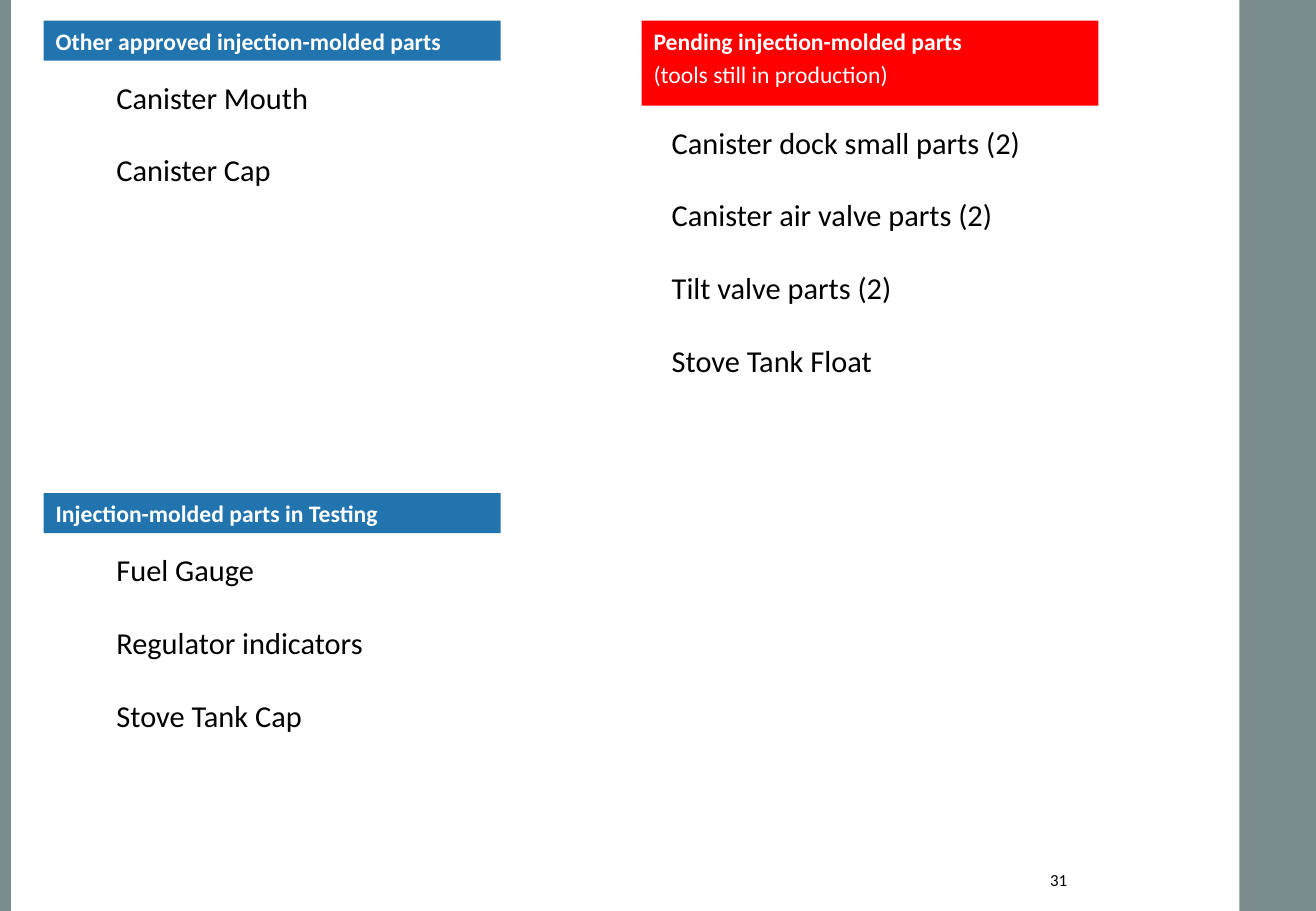
from dataclasses import dataclass

from pptx import Presentation
from pptx.dml.color import RGBColor
from pptx.enum.shapes import MSO_SHAPE as Shape
from pptx.enum.text import MSO_ANCHOR as Anchor, PP_ALIGN as Align
from pptx.util import Inches, Pt


@dataclass(frozen=True)
class Theme:
    font: str = "Calibri"
    white: str = "FFFFFF"
    text: str = "000000"
    band: str = "7A8C8E"
    approved: str = "2274AF"
    pending: str = "FF0000"
    header_size: float = 14
    item_size: float = 18
    number_size: float = 10
    header_gap: float = 2.8
    item_gap: float = 21.5


THEME = Theme()
SLIDE_WIDTH, SLIDE_HEIGHT = 10.83, 7.5
HEADER_WIDTH = 3.76
LIST_GAP = 0.1

# Header left, top, height, colour and lines; then list left, width and items
SECTIONS = [
    (0.36, 0.17, 0.33, THEME.approved, ["Other approved injection-molded parts"],
     0.86, 2.31, ["Canister Mouth", "Canister Cap"]),
    (0.36, 4.06, 0.33, THEME.approved, ["Injection-molded parts in Testing"],
     0.86, 2.31, ["Fuel Gauge", "Regulator indicators", "Stove Tank Cap"]),
    (5.28, 0.17, 0.7, THEME.pending,
     ["Pending injection-molded parts", "(tools still in production)"],
     5.43, 3.1, ["Canister dock small parts (2)", "Canister air valve parts (2)",
                 "Tilt valve parts (2)", "Stove Tank Float"]),
]


def add_block(slide, left, top, width, height, color):
    block = slide.shapes.add_shape(
        Shape.RECTANGLE, Inches(left), Inches(top), Inches(width), Inches(height))
    block.shadow.inherit = False
    block.fill.solid()
    block.fill.fore_color.rgb = RGBColor.from_string(color)
    block.line.fill.background()
    return block


def write_lines(frame, lines, size, color, gap=0, align=Align.LEFT, bold_first=False):
    for index, line in enumerate(lines):
        paragraph = frame.paragraphs[0] if index == 0 else frame.add_paragraph()
        paragraph.text = line
        paragraph.alignment = align
        if index:
            paragraph.space_before = Pt(gap)
        styles = {"name": THEME.font, "size": Pt(size),
                  "bold": bold_first and index == 0}
        for name, value in styles.items():
            setattr(paragraph.font, name, value)
        paragraph.font.color.rgb = RGBColor.from_string(color)


def add_header(slide, left, top, height, color, lines):
    header = add_block(slide, left, top, HEADER_WIDTH, height, color)
    header.text_frame.vertical_anchor = Anchor.TOP
    write_lines(header.text_frame, lines, THEME.header_size, THEME.white,
                THEME.header_gap, bold_first=True)


def add_text(slide, left, top, width, height):
    frame = slide.shapes.add_textbox(
        Inches(left), Inches(top), Inches(width), Inches(height)).text_frame
    frame.word_wrap = True
    return frame


def add_parts(slide, left, top, width, parts):
    frame = add_text(slide, left, top, width, 0.6 * len(parts) - 0.2)
    write_lines(frame, parts, THEME.item_size, THEME.text, THEME.item_gap)


def add_page_number(slide, number):
    frame = add_text(slide, 7.71, 7.08, 1.17, 0.33)
    frame.vertical_anchor = Anchor.MIDDLE
    write_lines(frame, [number], THEME.number_size, THEME.text, align=Align.RIGHT)


def main():
    prs = Presentation()
    prs.slide_width, prs.slide_height = Inches(SLIDE_WIDTH), Inches(SLIDE_HEIGHT)
    slide = prs.slides.add_slide(prs.slide_layouts[6])

    # Side bands
    for left, width in [(10.2, 0.63), (0, 0.09)]:
        add_block(slide, left, 0, width, SLIDE_HEIGHT, THEME.band)

    # Headers, each with its parts below
    for left, top, height, color, lines, list_left, list_width, parts in SECTIONS:
        add_header(slide, left, top, height, color, lines)
        add_parts(slide, list_left, top + height + LIST_GAP, list_width, parts)

    add_page_number(slide, "31")
    prs.save("out.pptx")


if __name__ == "__main__":
    main()
